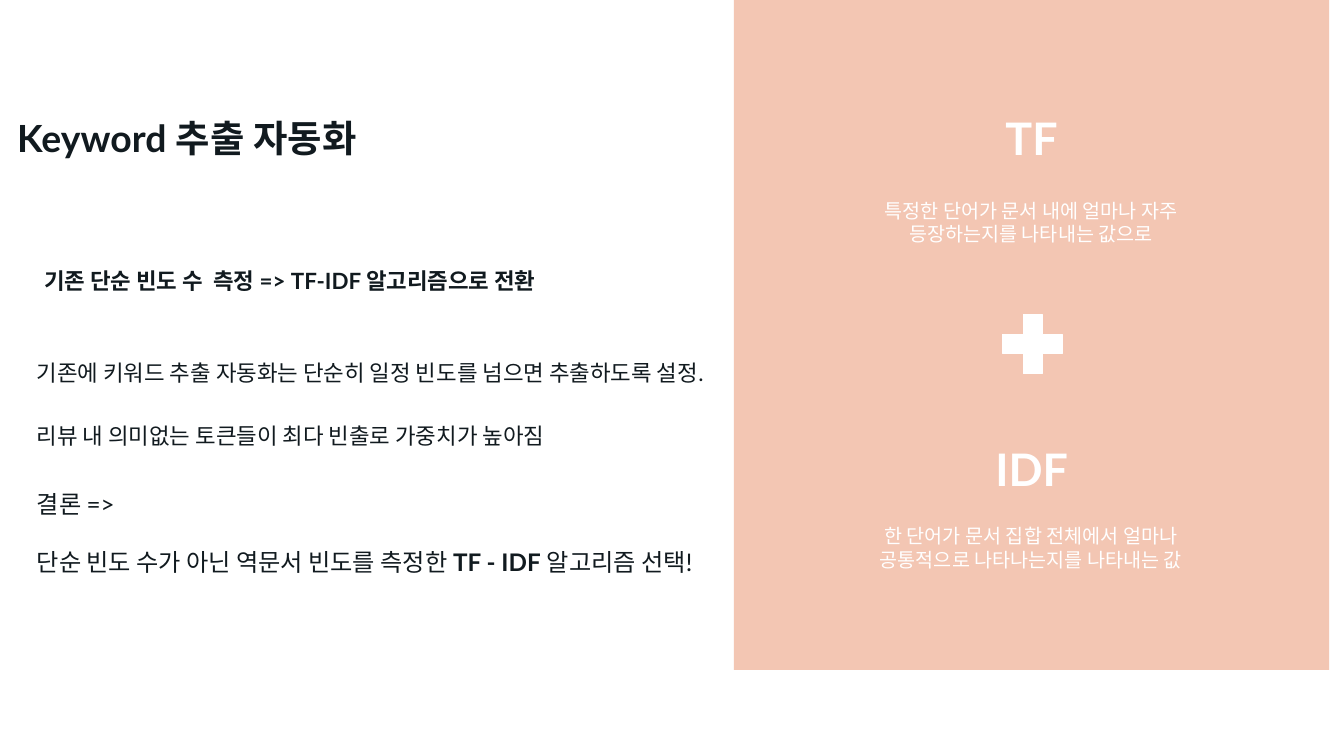
from dataclasses import dataclass

from pptx import Presentation
from pptx import util as u
from pptx.dml.color import RGBColor
from pptx.enum import shapes, text

PX = 9525  # EMU per px, 96 px to the inch


@dataclass(frozen=True)
class Theme:
    ink: str = "111A1F"
    white: str = "FFFFFF"
    panel: str = "F3C6B3"
    font: str = "Lato"
    korean_font: str = "Noto Sans CJK KR"
    title: float = 26.7
    term: float = 32
    definition: float = 14
    body: float = 16
    conclusion: float = 17.3


THEME = Theme()
CENTER = text.PP_ALIGN.CENTER
JUSTIFY = text.PP_ALIGN.JUSTIFY


def place(shape, box):
    shape.left, shape.top, shape.width, shape.height = (n * PX for n in box)


def write(shape, *paragraphs, size=THEME.body, color=THEME.ink, font=THEME.font,
          bold=False, align=JUSTIFY, gap=0):
    """Each paragraph is a list of runs; a run is text or a (text, bold) pair."""
    frame = shape.text_frame
    frame.word_wrap = True
    frame.auto_size = text.MSO_AUTO_SIZE.SHAPE_TO_FIT_TEXT
    frame.vertical_anchor = text.MSO_ANCHOR.TOP
    frame.margin_left = frame.margin_right = 12 * PX
    frame.margin_top = frame.margin_bottom = 7 * PX
    for index, runs in enumerate(paragraphs):
        paragraph = frame.add_paragraph() if index else frame.paragraphs[0]
        paragraph.alignment = align
        paragraph.space_before = u.Pt(gap if index else 0)
        for item in runs:
            words, strong = (item, bold) if isinstance(item, str) else item
            run = paragraph.add_run()
            run.text = words
            run.font.name = font
            run.font.size = u.Pt(size)
            run.font.bold = strong
            run.font.color.rgb = RGBColor.from_string(color)


def add_text(slide, box, *paragraphs, **style):
    shape = slide.shapes.add_textbox(0, 0, 0, 0)
    place(shape, box)
    write(shape, *paragraphs, **style)


def add_block(slide, kind, box, color, outlined=False):
    shape = slide.shapes.add_shape(kind, *(n * PX for n in box))
    shape.shadow.inherit = False
    shape.fill.solid()
    shape.fill.fore_color.rgb = RGBColor.from_string(color)
    if outlined:
        shape.line.color.rgb = RGBColor.from_string(color)
        shape.line.width = u.Pt(0.75)
    else:
        shape.line.fill.background()
    return shape


def add_term(slide, name, name_top, definition, definition_top):
    add_text(slide, (879, name_top, 207, 64), [name], size=THEME.term,
             color=THEME.white, bold=True, align=CENTER)
    add_text(slide, (806, definition_top, 352, 59), [definition],
             size=THEME.definition, color=THEME.white, font=THEME.korean_font,
             align=CENTER)


def add_explanation(slide):
    add_text(slide, (30, 247, 644, 38),
             ["기존 단순 빈도 수  측정 => TF-IDF 알고리즘으로 전환"], bold=True)
    add_text(slide, (23, 335, 667, 64),
             ["기존에 키워드 추출 자동화는 단순히 일정 빈도를 넘으면 추출하도록 설정."])
    add_text(slide, (23, 395, 667, 38),
             ["리뷰 내 의미없는 토큰들이 최다 빈출로 가중치가 높아짐"])
    add_text(slide, (23, 459, 714, 97), ["결론 =>"],
             ["단순 빈도 수가 아닌 역문서 빈도를 측정한 ", ("TF - IDF", True),
              " 알고리즘 선택!"],
             size=THEME.conclusion, gap=21)


def main():
    presentation = Presentation()
    presentation.slide_width = 1280 * PX
    presentation.slide_height = 720 * PX
    slide = presentation.slides.add_slide(presentation.slide_layouts[5])

    title = slide.shapes.title
    place(title, (-12, 103, 380, 56))
    write(title, ["Keyword 추출 자동화"], size=THEME.title, bold=True, align=CENTER)

    add_block(slide, shapes.MSO_SHAPE.RECTANGLE, (699, 0, 567, 638), THEME.panel)
    add_explanation(slide)
    add_term(slide, "TF", 98,
             "특정한 단어가 문서 내에 얼마나 자주 등장하는지를 나타내는 값으로", 182)
    plus = add_block(slide, shapes.MSO_SHAPE.MATH_PLUS, (945, 289, 77, 77),
                     THEME.white, outlined=True)
    plus.adjustments[0] = 0.235
    add_term(slide, "IDF", 414,
             "한 단어가 문서 집합 전체에서 얼마나 공통적으로 나타나는지를 나타내는 값", 492)

    presentation.save("out.pptx")


if __name__ == "__main__":
    main()
